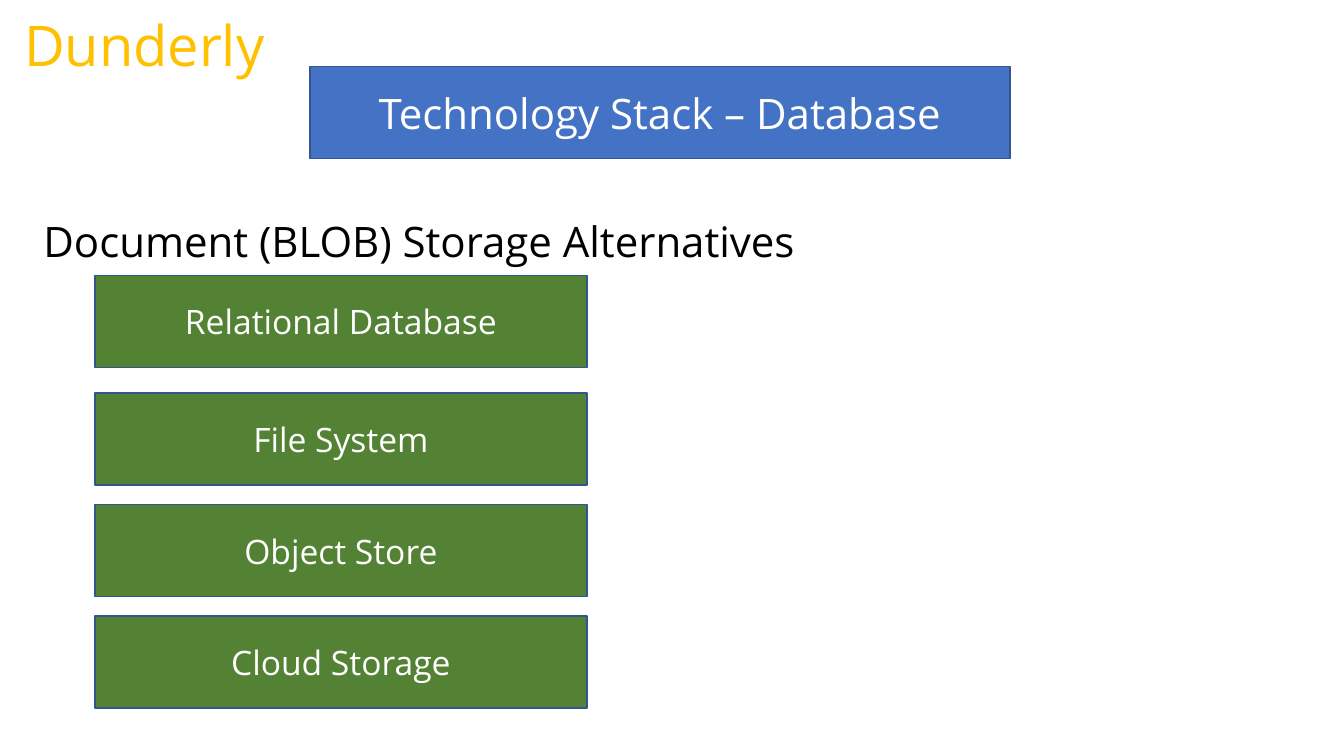
"""Build the database technology stack slide."""
from pptx import Presentation
from pptx.dml.color import RGBColor
from pptx.enum.shapes import MSO_SHAPE as Preset
from pptx.enum.text import MSO_ANCHOR as Anchor, MSO_AUTO_SIZE as AutoSize, PP_ALIGN as Align
from pptx.util import Pt

COLORS = {
    "blue": "4472C4",
    "green": "548235",
    "outline": "325491",
    "gold": "FFC000",
    "black": "000000",
    "white": "FFFFFF",
}
FONT = "Open Sans"

BRAND = "Dunderly"
TITLE = "Technology Stack – Database"
HEADING = "Document (BLOB) Storage Alternatives"
ALTERNATIVES = [
    ("Relational Database", 196.6),
    ("File System", 280.6),
    ("Object Store", 360.5),
    ("Cloud Storage", 440),
]

SLIDE_SIZE = (960, 540)
BAR_HEIGHT = 65.8
TITLE_BOX = (221.4, 47.5, 500, BAR_HEIGHT)
BRAND_BOX = (10.1, 4.3, 198, 55.4)
HEADING_BOX = (23.9, 114.5, 609.8, 67.7)
ALTERNATIVE_LEFT, ALTERNATIVE_WIDTH = 67.8, 351.4


def rgb(name):
    """Return the named colour."""
    return RGBColor.from_string(COLORS[name])


def add_text(slide, text, box, *, size, color="white", fill=None, spacing=None):
    """Add a text box, or a centred and outlined bar when a fill is given."""
    area = [Pt(length) for length in box]
    if fill:
        holder = slide.shapes.add_shape(Preset.RECTANGLE, *area)
        holder.shadow.inherit = False
        holder.fill.solid()
        holder.fill.fore_color.rgb = rgb(fill)
        holder.line.color.rgb = rgb("outline")
        holder.line.width = Pt(1)
    else:
        holder = slide.shapes.add_textbox(*area)
        holder.text_frame.auto_size = AutoSize.SHAPE_TO_FIT_TEXT
    frame = holder.text_frame
    frame.word_wrap = True
    frame.vertical_anchor = Anchor.MIDDLE if fill else Anchor.TOP
    paragraph = frame.paragraphs[0]
    paragraph.alignment = Align.CENTER if fill else Align.LEFT
    if spacing:
        paragraph.line_spacing = spacing
    run = paragraph.add_run()
    run.text = text
    run.font.name = FONT
    run.font.size = Pt(size)
    run.font.color.rgb = rgb(color)


def main():
    """Compose and save the slide."""
    deck = Presentation()
    deck.slide_width, deck.slide_height = (Pt(length) for length in SLIDE_SIZE)
    slide = deck.slides.add_slide(deck.slide_layouts[6])
    add_text(slide, TITLE, TITLE_BOX, size=30, fill="blue")
    add_text(slide, BRAND, BRAND_BOX, size=40, color="gold")
    add_text(slide, HEADING, HEADING_BOX, size=30, color="black", spacing=2.0)
    for alternative, top in ALTERNATIVES:
        box = (ALTERNATIVE_LEFT, top, ALTERNATIVE_WIDTH, BAR_HEIGHT)
        add_text(slide, alternative, box, size=24, fill="green")
    deck.save("out.pptx")


if __name__ == "__main__":
    main()
